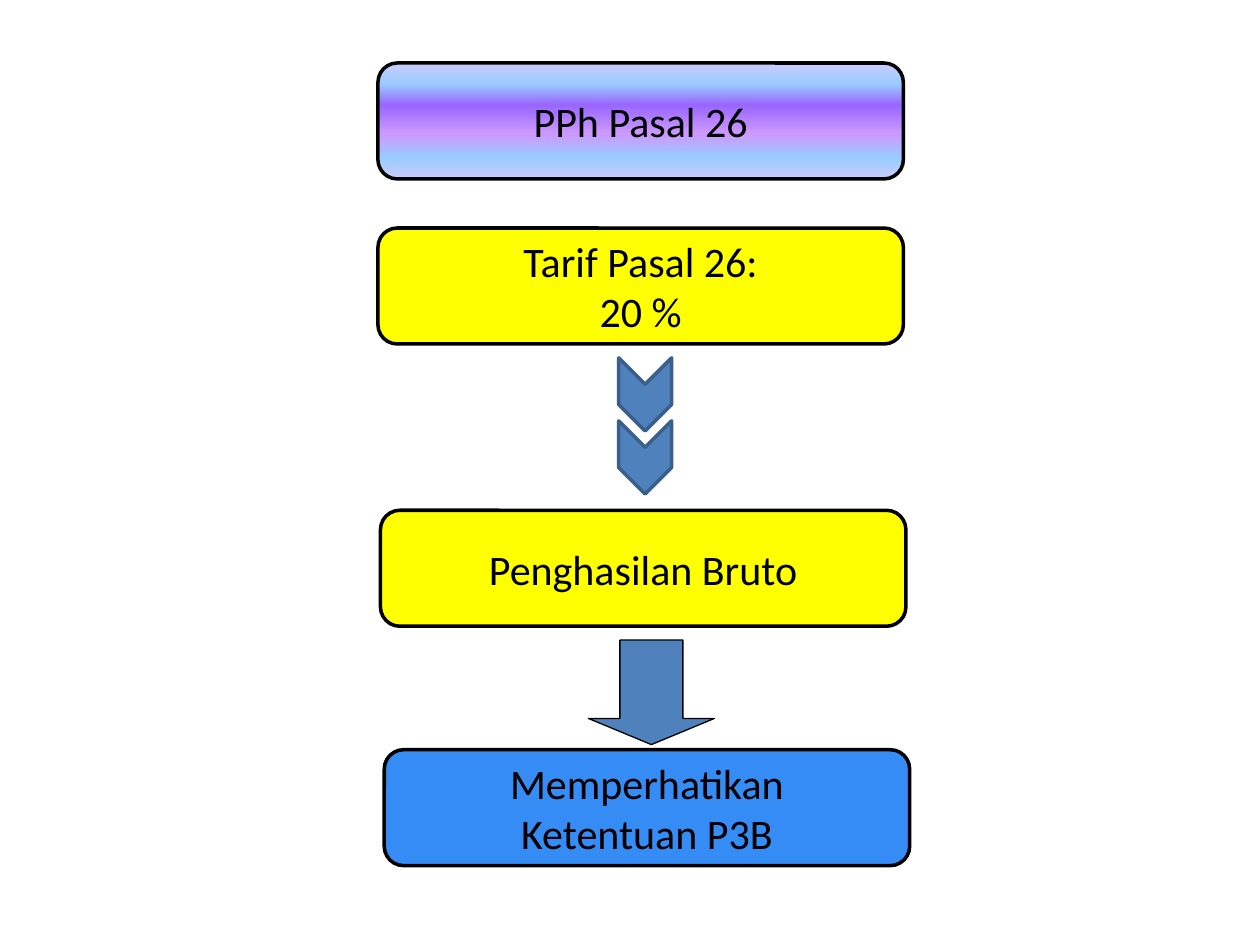
from lxml.etree import SubElement
from pptx import Presentation
from pptx.dml.color import RGBColor
from pptx.enum.shapes import MSO_SHAPE
from pptx.enum.text import MSO_ANCHOR, PP_ALIGN
from pptx.oxml.ns import qn
from pptx.util import Inches, Pt

BLACK = RGBColor(0, 0, 0)
YELLOW = RGBColor(0xFF, 0xFF, 0)
BLUE = RGBColor(0x35, 0x8C, 0xF5)
STEEL = RGBColor(0x4F, 0x81, 0xBD)
NAVY = RGBColor(0x3A, 0x5F, 0x8C)
LILAC = RGBColor(0xCC, 0xCC, 0xFF)
SKY = RGBColor(0x99, 0xCC, 0xFF)
VIOLET = RGBColor(0x99, 0x66, 0xFF)
MAUVE = RGBColor(0xCC, 0x99, 0xFF)
BANDS = [(0, LILAC), (18, SKY), (36, VIOLET), (61, MAUVE), (82, SKY), (100, LILAC)]


class Chart:
    font = "Calibri"
    size = Pt(24)

    def __init__(self, slide):
        self.slide = slide

    def shape(self, kind, left, top, width, height, fill, line=BLACK, weight=2):
        shape = self.slide.shapes.add_shape(
            kind, Inches(left), Inches(top), Inches(width), Inches(height))
        shape.shadow.inherit = False
        if isinstance(fill, list):
            self.blend(shape, fill)
        else:
            shape.fill.solid()
            shape.fill.fore_color.rgb = fill
        shape.line.color.rgb = line
        shape.line.width = Pt(weight)
        return shape

    def blend(self, shape, stops):
        """Fill the shape from top to bottom with (percent, colour) stops."""
        shape.fill.gradient()
        shape.fill.gradient_angle = 270
        items = next(shape.element.iter(qn("a:gsLst")))
        items.clear()
        for pos, color in stops:
            stop = SubElement(items, qn("a:gs"), pos=str(pos * 1000))
            SubElement(stop, qn("a:srgbClr"), val=str(color))

    def box(self, left, top, fill, *lines):
        shape = self.shape(MSO_SHAPE.ROUNDED_RECTANGLE, left, top, 4.17, 0.92, fill)
        frame = shape.text_frame
        frame.word_wrap = True
        frame.vertical_anchor = MSO_ANCHOR.MIDDLE
        frame.text = "\n".join(lines)
        for para in frame.paragraphs:
            para.alignment = PP_ALIGN.CENTER
            para.font.name = self.font
            para.font.size = self.size
            para.font.color.rgb = BLACK

    def arrow(self, left, top):
        shape = self.shape(MSO_SHAPE.DOWN_ARROW, left, top, 1, 0.83, STEEL, weight=0.75)
        shape.adjustments[0] = 0.5
        shape.adjustments[1] = 0.25

    def chevron(self, left, top):
        shape = self.shape(MSO_SHAPE.CHEVRON, left, top, 0.58, 0.42, STEEL, NAVY)
        shape.rotation = 90


def main():
    deck = Presentation()
    deck.slide_width, deck.slide_height = Inches(10), Inches(7.5)
    chart = Chart(deck.slides.add_slide(deck.slide_layouts[6]))

    chart.arrow(4.67, 5.08)
    chart.box(3, 0.5, BANDS, "PPh Pasal 26")
    chart.box(3, 1.81, YELLOW, "Tarif Pasal 26:", "20 %")
    for top in (2.92, 3.42):
        chart.chevron(4.83, top)
    chart.box(3.02, 4.05, YELLOW, "Penghasilan Bruto")
    chart.box(3.05, 5.95, BLUE, "Memperhatikan", "Ketentuan P3B")

    deck.save("out.pptx")


if __name__ == "__main__":
    main()
